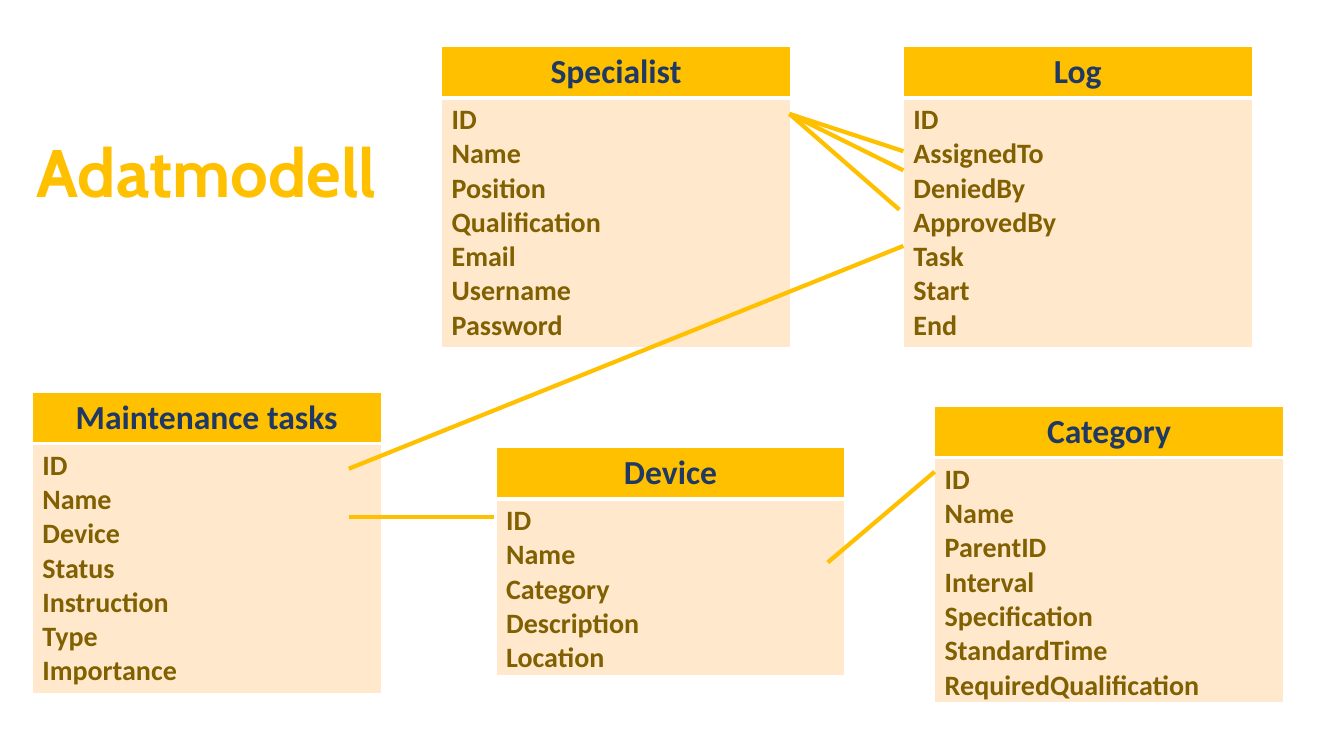
from dataclasses import dataclass

from lxml import etree
from pptx import Presentation
from pptx import util as u
from pptx.dml.color import RGBColor
from pptx.enum import shapes, text
from pptx.oxml import ns


@dataclass(frozen=True)
class Theme:
    """Hold the colours, fonts and type sizes."""
    gold: str = "FFC000"
    cream: str = "FFE8CC"
    navy: str = "203864"
    brown: str = "806000"
    white: str = "FFFFFF"
    head: str = "Cabin"
    body: str = "Calibri"
    title: int = 48
    name: int = 24
    field: int = 20


LOOK = Theme()
WIDE, TOP, STEP, PAD = 3.46, 0.51, 0.34, 0.05

TABLES = [
    ("Specialist", 4.38, 0.46, PAD,
     "ID Name Position Qualification Email Username Password"),
    ("Maintenance tasks", 0.32, 3.89, PAD,
     "ID Name Device Status Instruction Type Importance"),
    ("Log", 8.96, 0.46, PAD,
     "ID AssignedTo DeniedBy ApprovedBy Task Start End"),
    ("Device", 4.92, 4.44, 0, "ID Name Category Description Location"),
    ("Category", 9.27, 4.03, 0,
     "ID Name ParentID Interval Specification StandardTime RequiredQualification"),
]

HUB = (7.83, 1.13)
LINKS = [
    ((8.96, 1.5), HUB),
    ((8.96, 1.69), HUB),
    ((8.92, 2.08), HUB),
    ((8.96, 2.44), (3.46, 4.65)),
    ((4.9, 5.13), (3.46, 5.13)),
    ((9.27, 4.68), (8.21, 5.58)),
]


def style(frame, face, size, tint, align):
    """Format every paragraph and run of a text frame."""
    for para in frame.paragraphs:
        para.alignment = align
        for run in para.runs:
            run.font.name = face
            run.font.size = u.Pt(size)
            run.font.bold = True
            run.font.color.rgb = RGBColor.from_string(tint)


def edge(cell, base):
    """Draw white borders round a cell, the bottom one as wide as given."""
    props = cell._tc.get_or_add_tcPr()
    for spot, (side, size) in enumerate(zip("LRTB", (1, 1, 1, base))):
        line = etree.Element(ns.qn("a:ln" + side), w=str(u.Pt(size)))
        fill = etree.SubElement(line, ns.qn("a:solidFill"))
        etree.SubElement(fill, ns.qn("a:srgbClr"), val=LOOK.white)
        props.insert(spot, line)


def paint(cell, words, fill, size, tint, align, base):
    """Fill one table cell with text, colour and borders."""
    cell.text_frame.text = words
    style(cell.text_frame, LOOK.body, size, tint, align)
    cell.fill.solid()
    cell.fill.fore_color.rgb = RGBColor.from_string(fill)
    edge(cell, base)


def entity(slide, name, left, top, foot, fields):
    """Place one entity table with its name above its fields."""
    rows = fields.split()
    deep = STEP * len(rows) + PAD + foot
    grid = slide.shapes.add_table(
        2, 1, u.Inches(left), u.Inches(top),
        u.Inches(WIDE), u.Inches(TOP + deep)).table
    grid.rows[0].height = u.Inches(TOP)
    grid.rows[1].height = u.Inches(deep)
    paint(grid.cell(0, 0), name, LOOK.gold, LOOK.name, LOOK.navy,
          text.PP_ALIGN.CENTER, 3)
    body = grid.cell(1, 0)
    paint(body, "\n".join(rows), LOOK.cream, LOOK.field, LOOK.brown,
          text.PP_ALIGN.LEFT, 1)
    body.margin_bottom = u.Inches(foot)


def link(slide, start, end):
    """Join two points with a gold line."""
    line = slide.shapes.add_connector(
        shapes.MSO_CONNECTOR.STRAIGHT, *map(u.Inches, start + end))
    line.line.color.rgb = RGBColor.from_string(LOOK.gold)
    line.line.width = u.Pt(3)
    etree.SubElement(line._element.spPr, ns.qn("a:effectLst"))


def heading(slide, words, left, top, width, height):
    """Place the slide title in its box."""
    title = slide.shapes.title
    title.left, title.top = u.Inches(left), u.Inches(top)
    title.width, title.height = u.Inches(width), u.Inches(height)
    frame = title.text_frame
    frame.text = words
    frame.word_wrap = False
    frame.auto_size = text.MSO_AUTO_SIZE.NONE
    frame.vertical_anchor = text.MSO_ANCHOR.MIDDLE
    style(frame, LOOK.head, LOOK.title, LOOK.gold, text.PP_ALIGN.CENTER)


def model(deck):
    """Build the data model slide."""
    slide = deck.slides.add_slide(deck.slide_layouts[5])
    heading(slide, "Adatmodell", 0.17, 1.24, 3.76, 0.91)
    for item in TABLES:
        entity(slide, *item)
    for start, end in LINKS:
        link(slide, start, end)


def main():
    """Create and save the deck."""
    deck = Presentation()
    deck.slide_width, deck.slide_height = u.Inches(13.33), u.Inches(7.5)
    model(deck)
    deck.save("out.pptx")


main()
